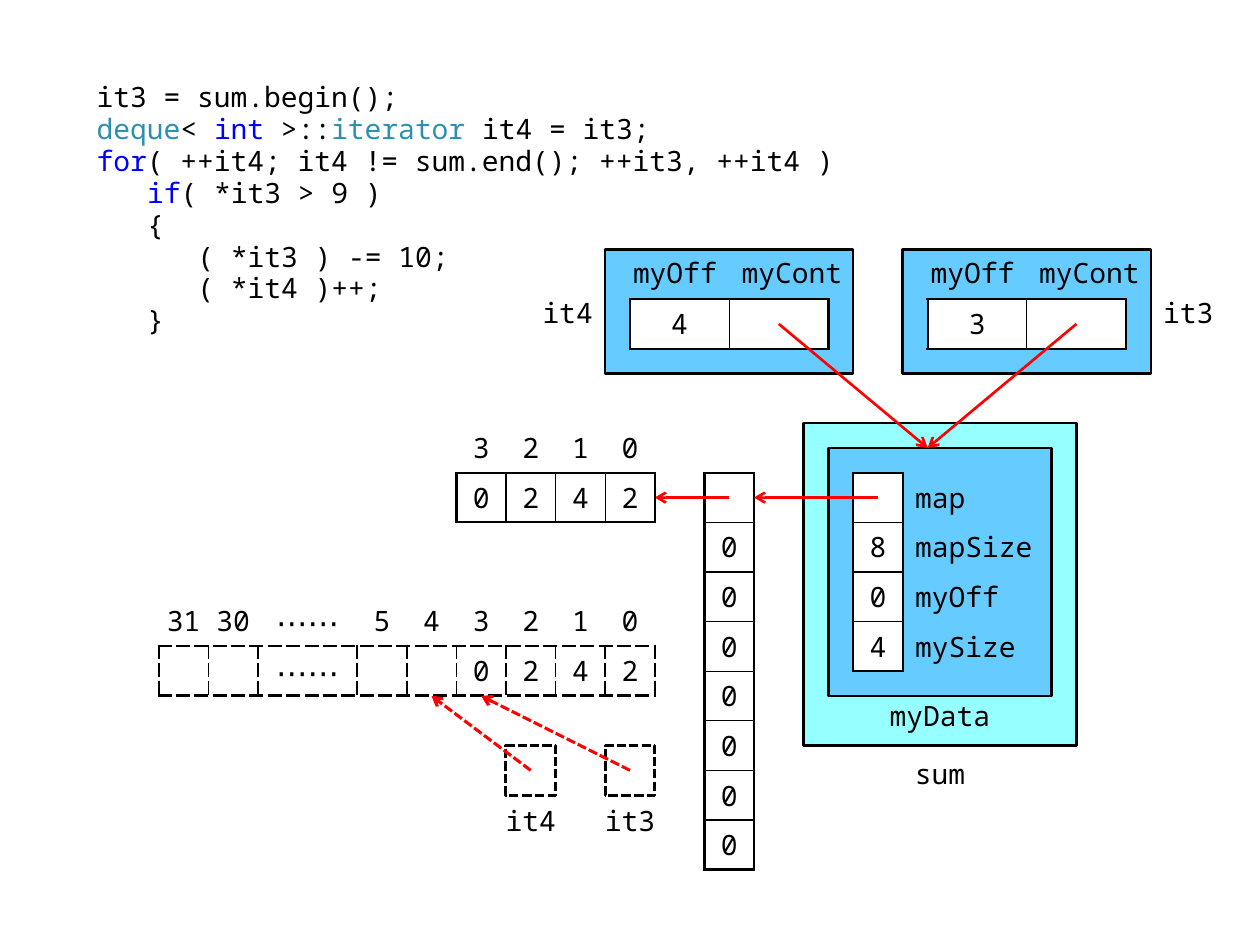
from dataclasses import dataclass

from lxml.etree import SubElement
from pptx import Presentation
from pptx.dml.color import RGBColor
from pptx.enum.dml import MSO_LINE
from pptx.enum.shapes import MSO_CONNECTOR, MSO_SHAPE
from pptx.enum.text import MSO_ANCHOR, PP_ALIGN
from pptx.oxml.ns import qn
from pptx.util import Cm, Pt


@dataclass(frozen=True)
class Theme:
    font: str = "Noto Sans Mono"
    size: float = 16
    dots: float = 18
    ink: str = "000000"
    paper: str = "FFFFFF"
    sky: str = "66CCFF"
    aqua: str = "96FFFF"
    red: str = "FF0000"
    blue: str = "0000FF"
    teal: str = "2B91AF"
    thick: float = 1.5
    dashed: float = 1.75


LEFT, MID, RIGHT = PP_ALIGN.LEFT, PP_ALIGN.CENTER, PP_ALIGN.RIGHT
DOTS = "⋯⋯"


class Board:
    def __init__(self, slide, theme):
        self.slide = slide
        self.theme = theme

    def style(self, part, color=None, size=None):
        for run in part.runs:
            run.font.name = self.theme.font
            run.font.size = Pt(size or self.theme.size)
            run.font.color.rgb = RGBColor.from_string(color or self.theme.ink)

    def stroke(self, line, color, dash):
        line.color.rgb = RGBColor.from_string(color)
        line.width = Pt(self.theme.dashed if dash else self.theme.thick)
        if dash:
            line.dash_style = MSO_LINE.SQUARE_DOT

    def frame(self, x, y, w, h):
        frame = self.slide.shapes.add_textbox(Cm(x), Cm(y), Cm(w), Cm(h)).text_frame
        frame.word_wrap = True
        return frame

    def text(self, words, x, y, w, h=1, side=MID, anchor=MSO_ANCHOR.MIDDLE, top=0.13):
        frame = self.frame(x, y, w, h)
        frame.text = words
        frame.vertical_anchor = anchor
        frame.margin_left = Cm(0.25 if side == LEFT else 0.1)
        frame.margin_right = Cm(0.25 if side == RIGHT else 0.1)
        frame.margin_top, frame.margin_bottom = Cm(top), Cm(0.1)
        frame.paragraphs[0].alignment = side
        self.style(frame.paragraphs[0])

    def code(self, lines, x, y, w, h):
        frame = self.frame(x, y, w, h)
        for i, (level, parts) in enumerate(lines):
            part = frame.add_paragraph() if i else frame.paragraphs[0]
            part.line_spacing = 0.95
            part._p.get_or_add_pPr().set("marL", str(Pt(28.8 * level)))
            for words, _ in parts:
                part.add_run().text = words
            self.style(part)
            for run, (_, color) in zip(part.runs, parts):
                run.font.color.rgb = RGBColor.from_string(color)

    def box(self, x, y, w, h, fill, kind=MSO_SHAPE.FLOWCHART_PROCESS, dash=False):
        shape = self.slide.shapes.add_shape(kind, Cm(x), Cm(y), Cm(w), Cm(h))
        shape.shadow.inherit = False
        shape.fill.solid()
        shape.fill.fore_color.rgb = RGBColor.from_string(fill)
        self.stroke(shape.line, self.theme.ink, dash)

    def arrow(self, x, y, to_x, to_y, dash=False):
        link = self.slide.shapes.add_connector(
            MSO_CONNECTOR.STRAIGHT, Cm(x), Cm(y), Cm(to_x), Cm(to_y))
        self.stroke(link.line, self.theme.red, dash)
        SubElement(link.line._get_or_add_ln(), qn("a:tailEnd"), type="arrow")
        SubElement(link._element.spPr, qn("a:effectLst"))

    def edge(self, cell, slot, name, width, dash):
        props = cell._tc.get_or_add_tcPr()
        line = SubElement(props, qn("a:" + name), w=str(Pt(width)))
        props.insert(slot, line)
        if not width:
            SubElement(line, qn("a:noFill"))
            return
        fill = SubElement(line, qn("a:solidFill"))
        SubElement(fill, qn("a:srgbClr"), val=self.theme.ink)
        SubElement(line, qn("a:prstDash"), val="sysDash" if dash else "solid")

    def table(self, rows, x, y, cols, framed=lambda r, c: True,
              thin=0.75, side=MID, dash=False):
        tall, wide = len(rows), len(cols)
        table = self.slide.shapes.add_table(
            tall, wide, Cm(x), Cm(y), Cm(sum(cols)), Cm(tall)).table
        table.first_row = table.horz_banding = False
        for col, width in zip(table.columns, cols):
            col.width = Cm(width)

        def inked(r, c):
            return 0 <= r < tall and 0 <= c < wide and framed(r, c)

        for r, row in enumerate(rows):
            table.rows[r].height = Cm(1)
            for c, words in enumerate(row):
                cell, own = table.cell(r, c), inked(r, c)
                label = side == LEFT and not own
                cell.text = words
                cell.vertical_anchor = MSO_ANCHOR.MIDDLE
                cell.margin_left = Cm(0.25 if label else 0.1)
                cell.margin_right = cell.margin_top = cell.margin_bottom = Cm(0.1)
                part = cell.text_frame.paragraphs[0]
                part.alignment = LEFT if label else MID
                self.style(part, size=self.theme.dots if words == DOTS else None)
                if own:
                    cell.fill.solid()
                    cell.fill.fore_color.rgb = RGBColor.from_string(self.theme.paper)
                else:
                    cell.fill.background()
                near = {"lnL": (r, c - 1), "lnR": (r, c + 1),
                        "lnT": (r - 1, c), "lnB": (r + 1, c)}
                for slot, (name, spot) in enumerate(near.items()):
                    width = (0, self.theme.thick, thin)[own + inked(*spot)]
                    self.edge(cell, slot, name, width, dash)


def main():
    deck = Presentation()
    deck.slide_width, deck.slide_height = Cm(25.4), Cm(19.05)
    theme = Theme()
    board = Board(deck.slides.add_slide(deck.slide_layouts[6]), theme)
    ink, blue, teal = theme.ink, theme.blue, theme.teal

    board.code([
        (0, [("it3 = sum.begin();", ink)]),
        (0, [("deque", teal), ("< ", ink), ("int", blue), (" >::", ink),
             ("iterator ", teal), ("it4 = it3;", ink)]),
        (0, [("for", blue), ("( ++it4; it4 != sum.end(); ++it3, ++it4 )", ink)]),
        (1, [("if", blue), ("( *it3 > 9 )", ink)]),
        (1, [("{", ink)]),
        (2, [("( *it3 ) -= 10;", ink)]),
        (2, [("( *it4 )++;", ink)]),
        (1, [("}", ink)]),
    ], 1.7, 1.53, 18, 5.5)

    board.text("sum", 16.7, 15.03, 4.5, anchor=MSO_ANCHOR.BOTTOM)
    board.table([[""]] + [["0"]] * 7, 14.2, 9.53, [1])
    board.arrow(14.7, 10.03, 13.2, 10.03)

    def lower(r, c):
        return r == 1

    digits = ["0", "2", "4", "2"]
    board.table([["3", "2", "1", "0"], digits], 9.2, 8.53, [1] * 4, lower)
    board.table([["31", "30", DOTS, "5", "4", "3", "2", "1", "0"],
                 ["", "", DOTS, "", ""] + digits],
                3.2, 12.02, [1, 1, 2] + [1] * 6, lower, thin=1, dash=True)

    for name, x, goal in (("it3", 12.2, 9.7), ("it4", 10.2, 8.7)):
        board.box(x, 15.03, 1, 1, theme.paper, MSO_SHAPE.RECTANGLE, dash=True)
        board.text(name, x - 0.5, 16.03, 2)
        board.arrow(x + 0.5, 15.53, goal, 14.03, dash=True)

    board.box(16.2, 8.53, 5.5, 6.5, theme.aqua)
    board.box(16.7, 9.03, 4.5, 5, theme.sky)
    board.text("myData", 17.7, 14.03, 2.5, anchor=MSO_ANCHOR.TOP, top=0.05)
    board.table([["", "map"], ["8", "mapSize"], ["0", "myOff"], ["4", "mySize"]],
                17.2, 9.53, [1, 3], lambda r, c: c == 0, thin=1, side=LEFT)
    board.arrow(17.7, 10.03, 15.2, 10.03)

    for name, off, x, name_x, side in (("it3", "3", 18.2, 23.2, LEFT),
                                       ("it4", "4", 12.2, 10.7, RIGHT)):
        board.text(name, name_x, 5.53, 1.5, 1.5, side)
        board.box(x, 5.03, 5, 2.5, theme.sky)
        board.table([[off, ""]], x + 0.5, 6.03, [2, 2])
        board.text("myOff", x, 5.03, 2.5, side=RIGHT, anchor=MSO_ANCHOR.TOP)
        board.text("myCont", x + 2.5, 5.03, 2.5, side=LEFT, anchor=MSO_ANCHOR.TOP)
        board.arrow(x + 3.5, 6.53, 18.7, 9.03)

    deck.save("out.pptx")


if __name__ == "__main__":
    main()
